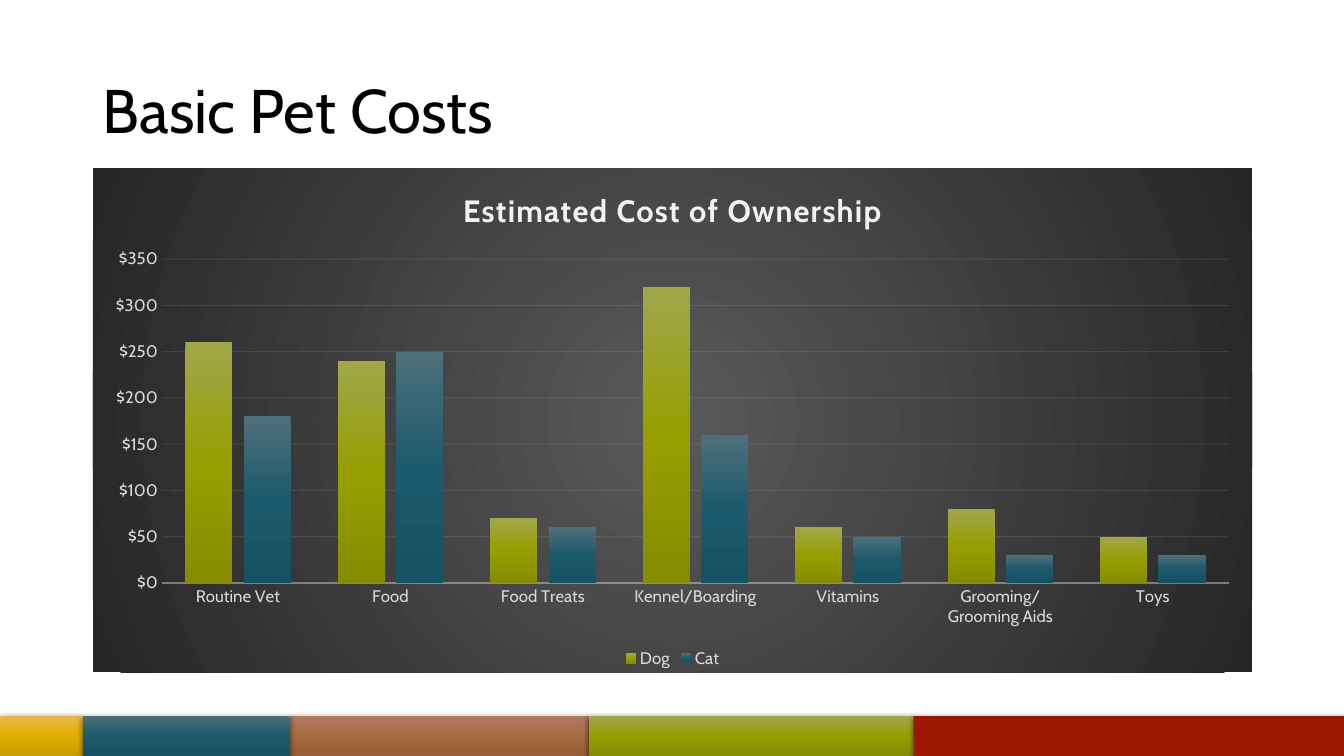
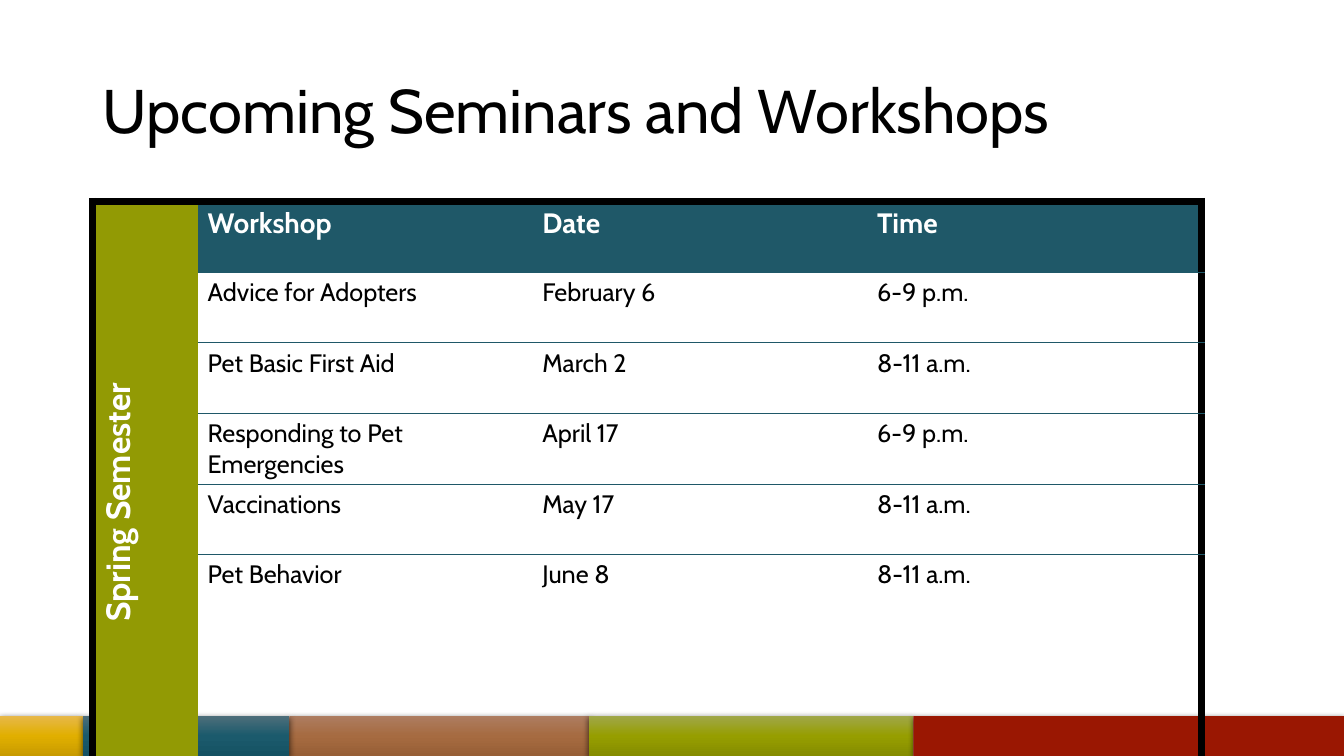
from lxml import etree
from pptx import Presentation
from pptx.chart.data import CategoryChartData
from pptx.dml.color import RGBColor
from pptx.enum.chart import XL_CHART_TYPE, XL_LEGEND_POSITION, XL_TICK_MARK
from pptx.enum.shapes import MSO_SHAPE
from pptx.enum.text import MSO_ANCHOR, PP_ALIGN
from pptx.oxml import parse_xml
from pptx.oxml.ns import qn
from pptx.util import Inches, Pt

COLUMNS = XL_CHART_TYPE.COLUMN_CLUSTERED
LEGEND_BOTTOM = XL_LEGEND_POSITION.BOTTOM
NO_TICK = XL_TICK_MARK.NONE
RECTANGLE = MSO_SHAPE.RECTANGLE
MIDDLE = MSO_ANCHOR.MIDDLE
CENTER = PP_ALIGN.CENTER

FONT = "Cabin"
BLACK = RGBColor(0x00, 0x00, 0x00)
WHITE = RGBColor(0xFF, 0xFF, 0xFF)
PALE = RGBColor(0xF2, 0xF2, 0xF2)
LABEL_GREY = RGBColor(0xD9, 0xD9, 0xD9)
HEADER_TEAL = RGBColor(0x1F, 0x58, 0x68)
SEMESTER_GREEN = RGBColor(0x92, 0x9A, 0x04)

# Gradients as RRGGBB stops at equal distances
YELLOW = ("E7B84B", "E1AF00", "C89B00")
TEAL = ("4F6F7B", "1B5A6C", "155263")
BROWN = ("AD7D61", "A66B41", "975F36")
GREEN = ("A0A74B", "969E00", "858C00")
RED = ("9A1702", "9A1702")
CHARCOAL = ("595959", "262626")

A_NS = 'xmlns:a="http://schemas.openxmlformats.org/drawingml/2006/main"'
NO_GRID_STYLE = "{2D5ABB26-0587-4C30-8999-92F81FD0307C}"

# Slide grid, in inches
WIDTH, HEIGHT = 13.33, 7.5
MARGIN, CONTENT_WIDTH = 0.92, 11.5
BAND_TOP, BAND_HEIGHT = 7.1, 0.4
BANDS = [(2.87, 5.84, BROWN), (5.84, 9.06, GREEN), (9.06, WIDTH, RED),
         (0, 0.82, YELLOW), (0.82, 2.87, TEAL)]
TITLES = ["Basic Pet Costs", "Upcoming Seminars and Workshops"]


def gradient(stops, direction='<a:lin ang="5400000" scaled="0"/>'):
    """Return a gradient fill element with evenly placed stops."""
    last = len(stops) - 1
    marks = "".join(
        f'<a:gs pos="{100000 * i // last}"><a:srgbClr val="{stop}"/></a:gs>'
        for i, stop in enumerate(stops))
    return parse_xml(f'<a:gradFill {A_NS} rotWithShape="1">'
                     f'<a:gsLst>{marks}</a:gsLst>{direction}</a:gradFill>')


def style_font(font, size, color, bold=False):
    font.name, font.size, font.bold = FONT, Pt(size), bold
    font.color.rgb = color


prs = Presentation()
prs.slide_width, prs.slide_height = Inches(WIDTH), Inches(HEIGHT)

# Shared parts: colour bands and title
slides = []
for title in TITLES:
    slide = prs.slides.add_slide(prs.slide_layouts[6])
    slides.append(slide)
    for left, right, stops in BANDS:
        band = slide.shapes.add_shape(
            RECTANGLE, Inches(left), Inches(BAND_TOP),
            Inches(right - left), Inches(BAND_HEIGHT))
        band.line.fill.background()
        band.shadow.inherit = False
        properties = band.element.spPr
        properties.find(qn("a:prstGeom")).addnext(gradient(stops))
        properties.find(qn("a:effectLst")).append(parse_xml(
            f'<a:outerShdw {A_NS} blurRad="57150" dist="19050" dir="5400000" '
            'algn="ctr" rotWithShape="0"><a:srgbClr val="000000">'
            '<a:alpha val="63000"/></a:srgbClr></a:outerShdw>'))

    heading = slide.shapes.add_textbox(
        Inches(MARGIN), Inches(0.4), Inches(CONTENT_WIDTH), Inches(1.45)).text_frame
    heading.word_wrap = True
    heading.vertical_anchor = MIDDLE
    heading.paragraphs[0].line_spacing = 0.9
    run = heading.paragraphs[0].add_run()
    run.text = title
    style_font(run.font, 44, BLACK)

costs_slide, workshops_slide = slides

# Cost chart
costs = CategoryChartData(number_format='"$"#,##0')
costs.categories = ["Routine Vet", "Food", "Food Treats", "Kennel/Boarding",
                    "Vitamins", "Grooming/Grooming Aids", "Toys"]
costs.add_series("Dog", [260, 240, 70, 320, 60, 80, 50])
costs.add_series("Cat", [180, 250, 60, 160, 50, 30, 30])
chart = costs_slide.shapes.add_chart(
    COLUMNS, Inches(MARGIN), Inches(1.67), Inches(CONTENT_WIDTH), Inches(5), costs).chart
style_font(chart.font, 12, LABEL_GREY)

chart.has_title = True
run = chart.chart_title.text_frame.paragraphs[0].add_run()
run.text = "Estimated Cost of Ownership"
style_font(run.font, 22, PALE, bold=True)
run.font._element.set("spc", "100")
chart.chart_title.include_in_layout = False

chart.has_legend = True
chart.legend.position = LEGEND_BOTTOM
chart.legend.include_in_layout = False
style_font(chart.legend.font, 12, LABEL_GREY)

plot = chart.plots[0]
plot.gap_width, plot.overlap, plot.vary_by_categories = 100, -24, False
for series, stops in zip(plot.series, (GREEN, TEAL)):
    series.invert_if_negative = False
    series.format.line.fill.background()
    series.format.line._get_or_add_ln().addprevious(gradient(stops))

# Axes, with faint lines on the dark panel
amounts, items = chart.value_axis, chart.category_axis
for axis in (amounts, items):
    axis.major_tick_mark = axis.minor_tick_mark = NO_TICK
    style_font(axis.tick_labels.font, 12, LABEL_GREY)
amounts.minimum_scale, amounts.maximum_scale, amounts.major_unit = 0, 350, 50
amounts.tick_labels.number_format = '"$"#,##0'
amounts.tick_labels.number_format_is_linked = False
amounts.format.line.fill.background()
for line, width, opacity in ((items.format.line, 1, 54),
                             (amounts.major_gridlines.format.line, 0.75, 10)):
    line.width = Pt(width)
    line.color.rgb = PALE
    tint = line._get_or_add_ln().find(".//" + qn("a:srgbClr"))
    etree.SubElement(tint, qn("a:alpha")).set("val", str(opacity * 1000))

# Dark panel behind the chart
panel = etree.Element(qn("c:spPr"))
panel.append(gradient(CHARCOAL, '<a:path path="circle"><a:fillToRect l="50000" '
                      't="50000" r="50000" b="50000"/></a:path>'))
etree.SubElement(etree.SubElement(panel, qn("a:ln")), qn("a:noFill"))
chart._chartSpace.find(qn("c:chart")).addnext(panel)

# Workshop table
WORKSHOPS = [
    ("Workshop", "Date", "Time"),
    ("Advice for Adopters", "February 6", "6-9 p.m."),
    ("Pet Basic First Aid", "March 2", "8-11 a.m."),
    ("Responding to Pet Emergencies", "April 17", "6-9 p.m."),
    ("Vaccinations", "May 17", "8-11 a.m."),
    ("Pet Behavior", "June 8", "8-11 a.m."),
]
SEMESTER_WIDTH, DETAIL_WIDTH, ROW_HEIGHT = 1.04, 3.32, 0.7
last_row, last_column = len(WORKSHOPS) - 1, len(WORKSHOPS[0])

table = workshops_slide.shapes.add_table(
    last_row + 1, last_column + 1, Inches(MARGIN), Inches(2),
    Inches(SEMESTER_WIDTH + last_column * DETAIL_WIDTH),
    Inches(ROW_HEIGHT * (last_row + 1))).table
table.horz_banding = False
table._tbl.tblPr.find(qn("a:tableStyleId")).text = NO_GRID_STYLE
for index, column in enumerate(table.columns):
    column.width = Inches(DETAIL_WIDTH if index else SEMESTER_WIDTH)
for row in table.rows:
    row.height = Inches(ROW_HEIGHT)
table.cell(0, 0).merge(table.cell(last_row, 0))

for r, workshop in enumerate(WORKSHOPS):
    for c, text in enumerate(("" if r else "Spring Semester",) + workshop):
        cell = table.cell(r, c)
        if c == 0:
            size, color, fill = 24, WHITE, SEMESTER_GREEN
        elif r == 0:
            size, color, fill = 20, WHITE, HEADER_TEAL
        else:
            size, color, fill = 18, BLACK, None
        if text:
            run = cell.text_frame.paragraphs[0].add_run()
            run.text = text
            style_font(run.font, size, color, bold=fill is not None)

        # Heavy black frame outside, thin teal rules between rows
        frame, rule = (6, BLACK), (0.5, HEADER_TEAL) if c else None
        borders = {"L": None if c else frame,
                   "R": frame if c == last_column else None,
                   "T": rule if r else frame,
                   "B": frame if r == last_row else rule}
        cell_properties = cell._tc.get_or_add_tcPr()
        for side, border in borders.items():
            edge = etree.SubElement(cell_properties, qn(f"a:ln{side}"))
            if border:
                edge.set("w", str(Pt(border[0])))
                paint = etree.SubElement(edge, qn("a:solidFill"))
                etree.SubElement(paint, qn("a:srgbClr")).set("val", str(border[1]))
            else:
                etree.SubElement(edge, qn("a:noFill"))
        if fill:
            cell.fill.solid()
            cell.fill.fore_color.rgb = fill
        else:
            cell.fill.background()

# Semester label reads upwards
semester = table.cell(0, 0)
semester.vertical_anchor = MIDDLE
semester.text_frame.paragraphs[0].alignment = CENTER
semester._tc.tcPr.set("vert", "vert270")

prs.save("out.pptx")
